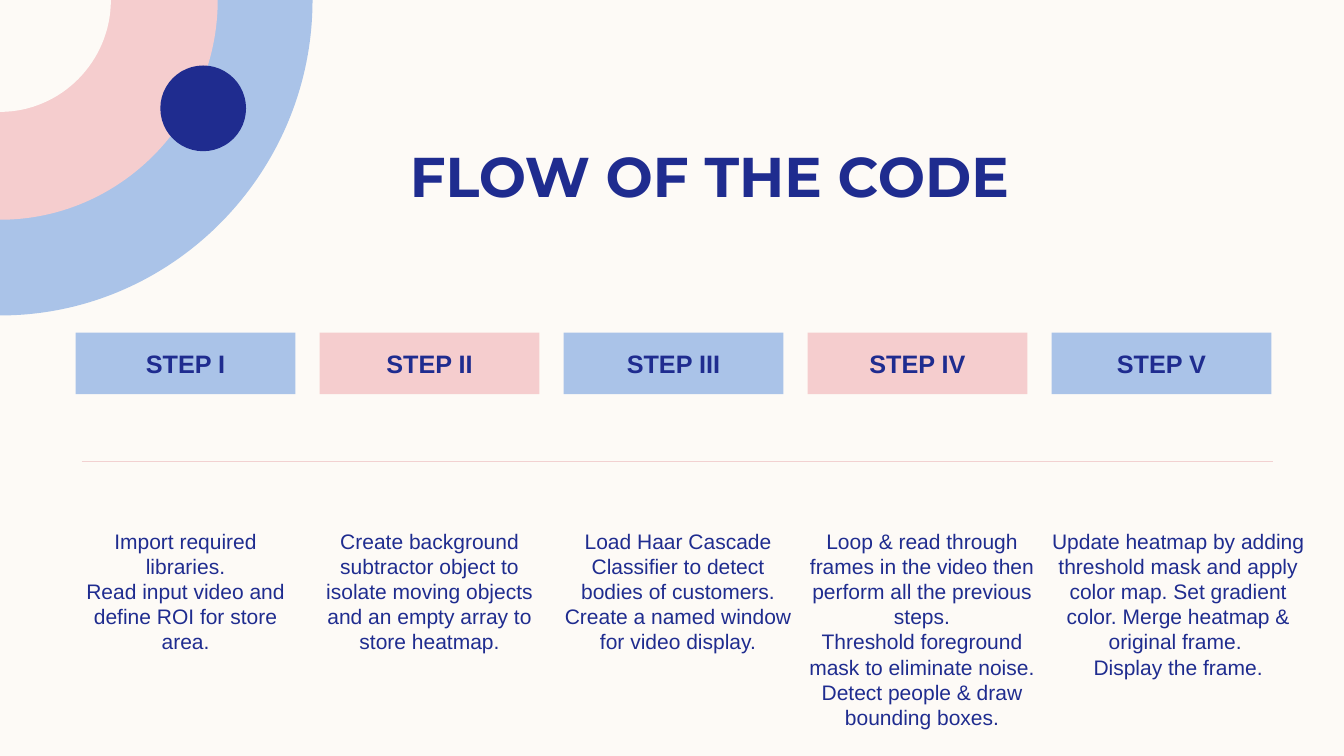
import pptx
import pptx.util
import pptx.dml.color
import pptx.enum.shapes
import pptx.enum.text
from lxml import etree

Inches, Pt = pptx.util.Inches, pptx.util.Pt
RGBColor = pptx.dml.color.RGBColor
Shape = pptx.enum.shapes.MSO_SHAPE
Anchor = pptx.enum.text.MSO_ANCHOR

CREAM = RGBColor(0xFD, 0xFA, 0xF6)
BLUE = RGBColor(0xAA, 0xC3, 0xE8)
PINK = RGBColor(0xF5, 0xCD, 0xCE)
NAVY = RGBColor(0x1F, 0x2C, 0x8F)
RULE = RGBColor(0xF2, 0xD1, 0xD1)

TITLE = "FLOW OF THE CODE "
# Label, description paragraphs, description width and height
STEPS = [
    ("STEP I", ["Import required libraries.",
                "Read input video and define ROI for store area."], 2.18, 1.26),
    ("STEP II", ["Create background subtractor object to isolate moving objects "
                 "and an empty array to store heatmap."], 2.18, 1.42),
    ("STEP III", ["Load Haar Cascade Classifier to detect bodies of customers.",
                  "Create a named window for video display."], 2.27, 1.81),
    ("STEP IV", ["Loop & read through frames in the video then perform all the "
                 "previous steps.",
                 "Threshold foreground mask to eliminate noise.",
                 "Detect people & draw bounding boxes."], 2.27, 2.12),
    ("STEP V", ["Update heatmap by adding threshold mask and apply color map. "
                "Set gradient color. Merge heatmap & original frame. ",
                "Display the frame."], 2.51, 2.02),
]
# Corner discs, largest first: horizontal radius, vertical radius, colour
DISCS = [(3.1, 3.13, BLUE), (2.16, 2.18, PINK), (1.1, 1.11, CREAM)]

FIRST_LEFT, PITCH = 0.75, 2.42
LABEL_TOP, LABEL_WIDTH, LABEL_HEIGHT = 3.3, 2.18, 0.61
DETAIL_TOP = 5.19
ROUNDNESS = 0.55  # handle length of a quarter circle, as a share of its radius
DRAWING = "{http://schemas.openxmlformats.org/drawingml/2006/main}"


def paint(shape, color):
    shape.shadow.inherit = False
    shape.fill.solid()
    shape.fill.fore_color.rgb = color
    shape.line.fill.background()


def write(shape, paragraphs, size, font="Arial", bold=False, side=0.0,
          upright=0.05, anchor=Anchor.TOP, spacing=None):
    frame = shape.text_frame
    frame.word_wrap = True
    frame.vertical_anchor = anchor
    frame.margin_left = frame.margin_right = Inches(side)
    frame.margin_top = frame.margin_bottom = Inches(upright)
    for index, text in enumerate(paragraphs):
        para = frame.add_paragraph() if index else frame.paragraphs[0]
        para.alignment = pptx.enum.text.PP_ALIGN.CENTER
        para.line_spacing = spacing
        span = para.add_run()
        span.text = text
        span.font.name = font
        span.font.size = Pt(size)
        span.font.bold = bold
        span.font.color.rgb = NAVY


def add_corner_disc(page, across, down, color):
    """Draw a quarter disc centred on the top left corner of the slide."""
    right, bottom = Inches(across), Inches(down)
    builder = page.shapes.build_freeform(0, 0)
    builder.add_line_segments([(right, 0), (0, bottom)], close=True)
    disc = builder.convert_to_shape()
    paint(disc, color)

    # The slanted side becomes the round rim
    slant = list(disc._element.iter(DRAWING + "lnTo"))[1]
    rim = etree.Element(DRAWING + "cubicBezTo")
    for x, y in [(right, bottom * ROUNDNESS), (right * ROUNDNESS, bottom), (0, bottom)]:
        etree.SubElement(rim, DRAWING + "pt", x=str(round(x)), y=str(round(y)))
    slant.getparent().replace(slant, rim)


def add_step(page, index, label, details, width, height):
    left = Inches(FIRST_LEFT + index * PITCH)
    box = page.shapes.add_shape(Shape.RECTANGLE, left, Inches(LABEL_TOP),
                                Inches(LABEL_WIDTH), Inches(LABEL_HEIGHT))
    paint(box, PINK if index % 2 else BLUE)
    write(box, [label], 18, bold=True, upright=0, anchor=Anchor.MIDDLE)
    box = page.shapes.add_textbox(left, Inches(DETAIL_TOP), Inches(width), Inches(height))
    write(box, details, 15, spacing=Pt(18))


def main():
    deck = pptx.Presentation()
    deck.slide_width, deck.slide_height = Inches(13.33), Inches(7.5)
    page = deck.slides.add_slide(deck.slide_layouts[6])
    page.background.fill.solid()
    page.background.fill.fore_color.rgb = CREAM

    for disc in DISCS:
        add_corner_disc(page, *disc)
    dot = page.shapes.add_shape(Shape.OVAL, Inches(1.59), Inches(0.65),
                                Inches(0.85), Inches(0.85))
    paint(dot, NAVY)

    divider = page.shapes.add_connector(pptx.enum.shapes.MSO_CONNECTOR.STRAIGHT,
                                        Inches(0.81), Inches(4.58),
                                        Inches(12.63), Inches(4.58))
    divider.line.color.rgb = RULE
    divider.line.width = Pt(1)
    etree.SubElement(divider._element.spPr, DRAWING + "effectLst")

    title = page.shapes.add_textbox(Inches(1.28), Inches(1.36), Inches(11.67), Inches(0.84))
    write(title, [TITLE], 40, font="Montserrat", bold=True, side=0.1)
    for index, step in enumerate(STEPS):
        add_step(page, index, *step)

    deck.save("out.pptx")


if __name__ == "__main__":
    main()
